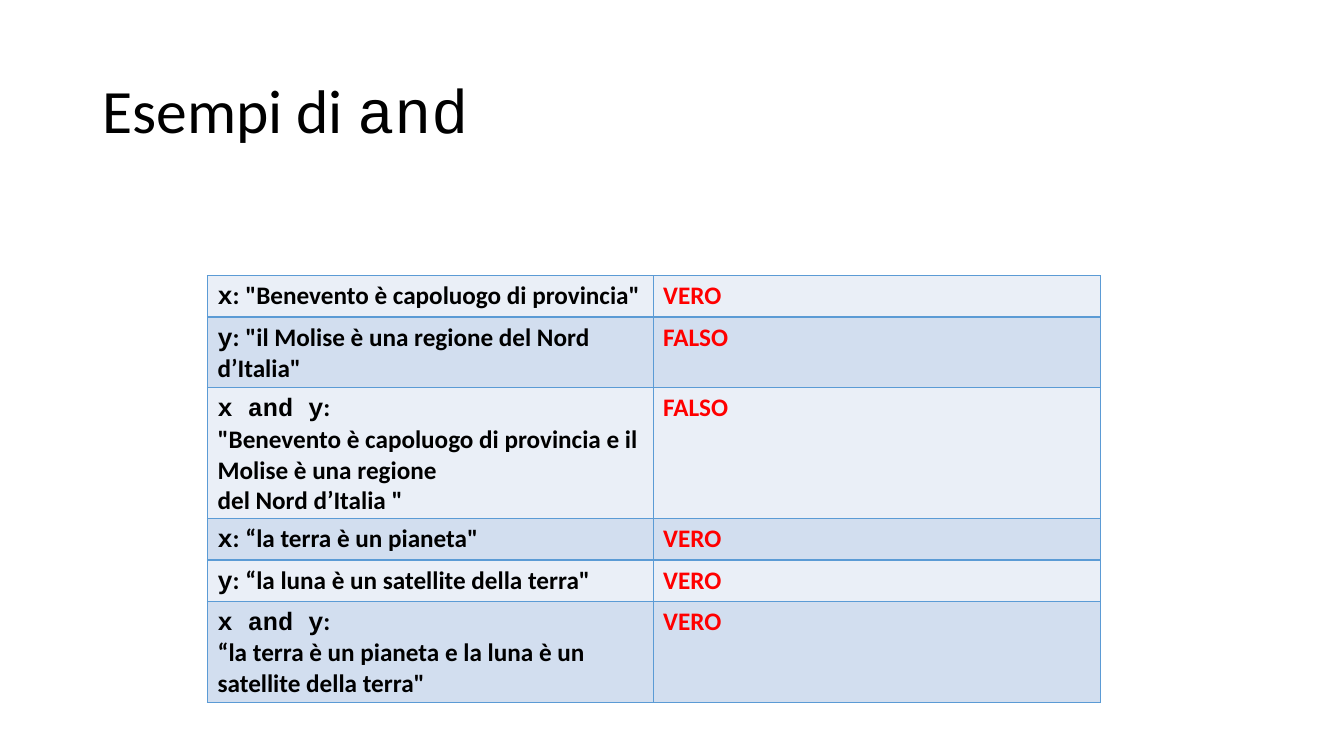
from lxml.etree import SubElement
from pptx import Presentation
from pptx.dml.color import RGBColor
from pptx.enum.text import MSO_ANCHOR as Anchor
from pptx.oxml.ns import qn
from pptx.util import Cm, Pt

BLACK = RGBColor(0x00, 0x00, 0x00)
RED = RGBColor(0xFF, 0x00, 0x00)
BORDER = RGBColor(0x5B, 0x9B, 0xD5)
BANDS = (RGBColor(0xEA, 0xEF, 0xF7), RGBColor(0xD2, 0xDE, 0xEF))
BODY_FONT = "Calibri"
CODE_FONT = "Courier New"

EXAMPLES = [
    ("x", [': "Benevento è capoluogo di provincia"'], "VERO"),
    ("y", [': "il Molise è una regione del Nord d’Italia"'], "FALSO"),
    ("x and y", [":",
                 '"Benevento è capoluogo di provincia e il Molise è una regione',
                 'del Nord d’Italia "'], "FALSO"),
    ("x", [': “la terra è un pianeta"'], "VERO"),
    ("y", [': “la luna è un satellite della terra"'], "VERO"),
    ("x and y", [":",
                 '“la terra è un pianeta e la luna è un satellite della terra"'], "VERO"),
]


def add_span(para, text, size, font=BODY_FONT, color=BLACK, bold=False):
    """Append a formatted run to a paragraph."""
    span = para.add_run()
    span.text = text
    span.font.size = Pt(size)
    span.font.name = font
    span.font.color.rgb = color
    span.font.bold = bold


def add_title(page, text, code):
    """Add the title, ending with a word of code."""
    box = page.shapes.add_textbox(Cm(2.33), Cm(1.01), Cm(29.21), Cm(3.68))
    frame = box.text_frame
    frame.word_wrap = True
    frame.vertical_anchor = Anchor.MIDDLE
    para = frame.paragraphs[0]
    para.line_spacing = 0.9
    add_span(para, text, 44)
    add_span(para, code, 44, CODE_FONT)


def style_cell(cell, fill):
    """Give a cell its four borders and its fill."""
    properties = cell._tc.get_or_add_tcPr()
    for side in ("a:lnL", "a:lnR", "a:lnT", "a:lnB"):
        line = SubElement(properties, qn(side), w=str(Pt(1)))
        solid = SubElement(line, qn("a:solidFill"))
        SubElement(solid, qn("a:srgbClr"), val=str(BORDER))
    cell.fill.solid()
    cell.fill.fore_color.rgb = fill


def fill_statement(cell, name, lines):
    """Write a proposition: its name in code, then its lines."""
    frame = cell.text_frame
    add_span(frame.paragraphs[0], name, 18, CODE_FONT, bold=True)
    add_span(frame.paragraphs[0], lines[0], 18, bold=True)
    for line in lines[1:]:
        add_span(frame.add_paragraph(), line, 18, bold=True)


def add_truth_table(page, examples):
    """Add the table of propositions and truth values."""
    row_height = Cm(1.04)
    table = page.shapes.add_table(len(examples), 2, Cm(5.23), Cm(6.95),
                                  Cm(22.51), row_height * len(examples)).table
    table.columns[0].width = Cm(11.23)
    table.columns[1].width = Cm(11.28)
    for index, (name, lines, value) in enumerate(examples):
        table.rows[index].height = row_height
        statement, truth = table.rows[index].cells
        fill_statement(statement, name, lines)
        add_span(truth.text_frame.paragraphs[0], value, 18, color=RED, bold=True)
        for cell in (statement, truth):
            style_cell(cell, BANDS[index % 2])


def main():
    """Build the slide and save the deck."""
    deck = Presentation()
    deck.slide_width, deck.slide_height = Cm(33.87), Cm(19.05)
    page = deck.slides.add_slide(deck.slide_layouts[6])
    add_title(page, "Esempi di ", "and")
    add_truth_table(page, EXAMPLES)
    deck.save("out.pptx")


if __name__ == "__main__":
    main()
